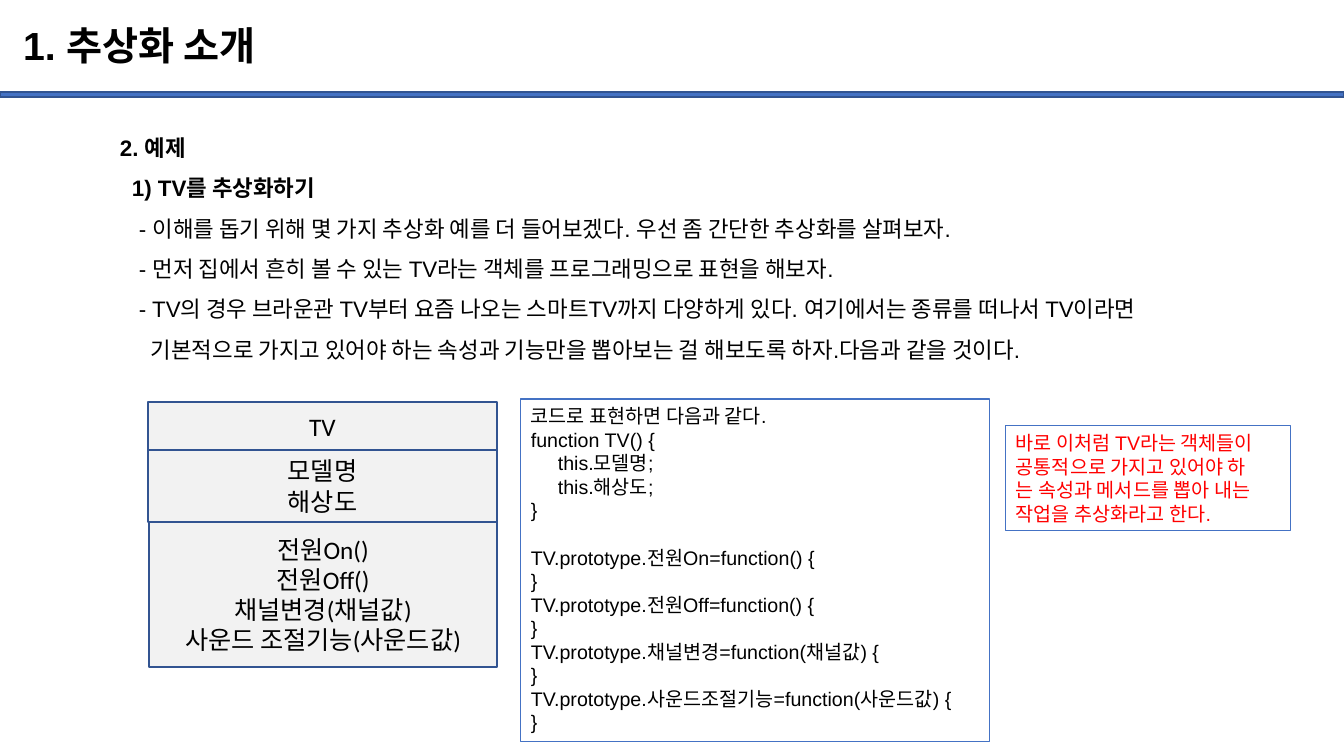
from dataclasses import dataclass

from pptx import Presentation
from pptx.dml.color import RGBColor
from pptx.enum.shapes import MSO_SHAPE
from pptx.enum.text import MSO_ANCHOR, MSO_AUTO_SIZE, PP_ALIGN
from pptx.util import Pt


@dataclass(frozen=True)
class Theme:
    blue: str = "4472C4"
    outline: str = "325491"
    panel: str = "F2F2F2"
    ink: str = "000000"
    accent: str = "FF0000"
    font: str = "Arial"
    diagram_font: str = "Calibri"
    title_size: int = 28
    body_size: int = 16
    diagram_size: int = 18
    code_size: int = 14


theme = Theme()


def px(length):
    return round(length * 914400 / 100.8)


def write(box, lines, size, font=theme.font, color=theme.ink, align=PP_ALIGN.LEFT,
          anchor=MSO_ANCHOR.TOP, spacing=1.0, wrap=True, fit=MSO_AUTO_SIZE.NONE):
    frame = box.text_frame
    frame.word_wrap = wrap
    frame.auto_size = fit
    frame.vertical_anchor = anchor
    for number, (text, indent, bold, gap) in enumerate(lines):
        para = frame.add_paragraph() if number else frame.paragraphs[0]
        para.alignment = align
        para.line_spacing = spacing
        para.space_before = px(gap)
        if indent:
            properties = para._p.get_or_add_pPr()
            properties.set("marL", str(px(indent)))
            properties.set("indent", "0")
        span = para.add_run()
        span.text = text
        span.font.name = font
        span.font.size = Pt(size)
        span.font.bold = bold
        span.font.color.rgb = RGBColor.from_string(color)


deck = Presentation()
deck.slide_width, deck.slide_height = px(1344), px(756)
page = deck.slides.add_slide(deck.slide_layouts[5])

title = page.shapes.title
title.left, title.top, title.width, title.height = px(13), px(10), px(1159), px(75)
write(title, [("1. 추상화 소개", 0, True, 0)], theme.title_size,
      anchor=MSO_ANCHOR.MIDDLE, spacing=0.9)

body = page.shapes.add_textbox(px(110), px(116), px(1181), px(249))
write(body, [
    ("2. 예제", 0, True, 0),
    ("1) TV를 추상화하기", 12, True, 0),
    ("- 이해를 돕기 위해 몇 가지 추상화 예를 더 들어보겠다. 우선 좀 간단한 추상화를 살펴보자.", 19, False, 0),
    ("- 먼저 집에서 흔히 볼 수 있는 TV라는 객체를 프로그래밍으로 표현을 해보자.", 19, False, 0),
    ("- TV의 경우 브라운관 TV부터 요즘 나오는 스마트TV까지 다양하게 있다. 여기에서는 종류를 떠나서 TV이라면", 19, False, 0),
    ("기본적으로 가지고 있어야 하는 속성과 기능만을 뽑아보는 걸 해보도록 하자.다음과 같을 것이다.", 31, False, 0),
], theme.body_size, spacing=1.5, fit=MSO_AUTO_SIZE.SHAPE_TO_FIT_TEXT)

rectangles = [
    (0, 92, 1344, 5, theme.blue, []),
    (148, 402, 349, 48, theme.panel, ["TV"]),
    (148, 450, 349, 72, theme.panel, ["모델명", "해상도"]),
    (149, 522, 348, 145, theme.panel,
     ["전원On()", "전원Off()", "채널변경(채널값)", "사운드 조절기능(사운드값)"]),
]
for left, top, width, height, fill, labels in rectangles:
    box = page.shapes.add_shape(MSO_SHAPE.RECTANGLE, px(left), px(top), px(width), px(height))
    box.shadow.inherit = False
    box.fill.solid()
    box.fill.fore_color.rgb = RGBColor.from_string(fill)
    box.line.color.rgb = RGBColor.from_string(theme.outline)
    box.line.width = Pt(1)
    write(box, [(label, 0, False, 0) for label in labels], theme.diagram_size,
          font=theme.diagram_font, align=PP_ALIGN.CENTER, anchor=MSO_ANCHOR.MIDDLE)

code = [
    ("코드로 표현하면 다음과 같다.", 0, False, 0),
    ("function TV() {", 0, False, 0),
    ("this.모델명;", 27, False, 0),
    ("this.해상도;", 27, False, 0),
    ("}", 0, False, 0),
]
methods = ["전원On=function()", "전원Off=function()", "채널변경=function(채널값)",
           "사운드조절기능=function(사운드값)"]
for number, method in enumerate(methods):
    code.append((f"TV.prototype.{method} {{", 0, False, 0 if number else 24))
    code.append(("}", 0, False, 0))

summary = [(line, 0, False, 0) for line in (
    "바로 이처럼 TV라는 객체들이",
    "공통적으로 가지고 있어야 하",
    "는 속성과 메서드를 뽑아 내는",
    "작업을 추상화라고 한다.",
)]

notes = [
    (521, 399, 469, 343, code, theme.ink),
    (1006, 426, 285, 105, summary, theme.accent),
]
for left, top, width, height, lines, color in notes:
    box = page.shapes.add_textbox(px(left), px(top), px(width), px(height))
    box.line.color.rgb = RGBColor.from_string(theme.blue)
    box.line.width = Pt(0.75)
    write(box, lines, theme.code_size, color=color, wrap=False,
          fit=MSO_AUTO_SIZE.SHAPE_TO_FIT_TEXT)

deck.save("out.pptx")
